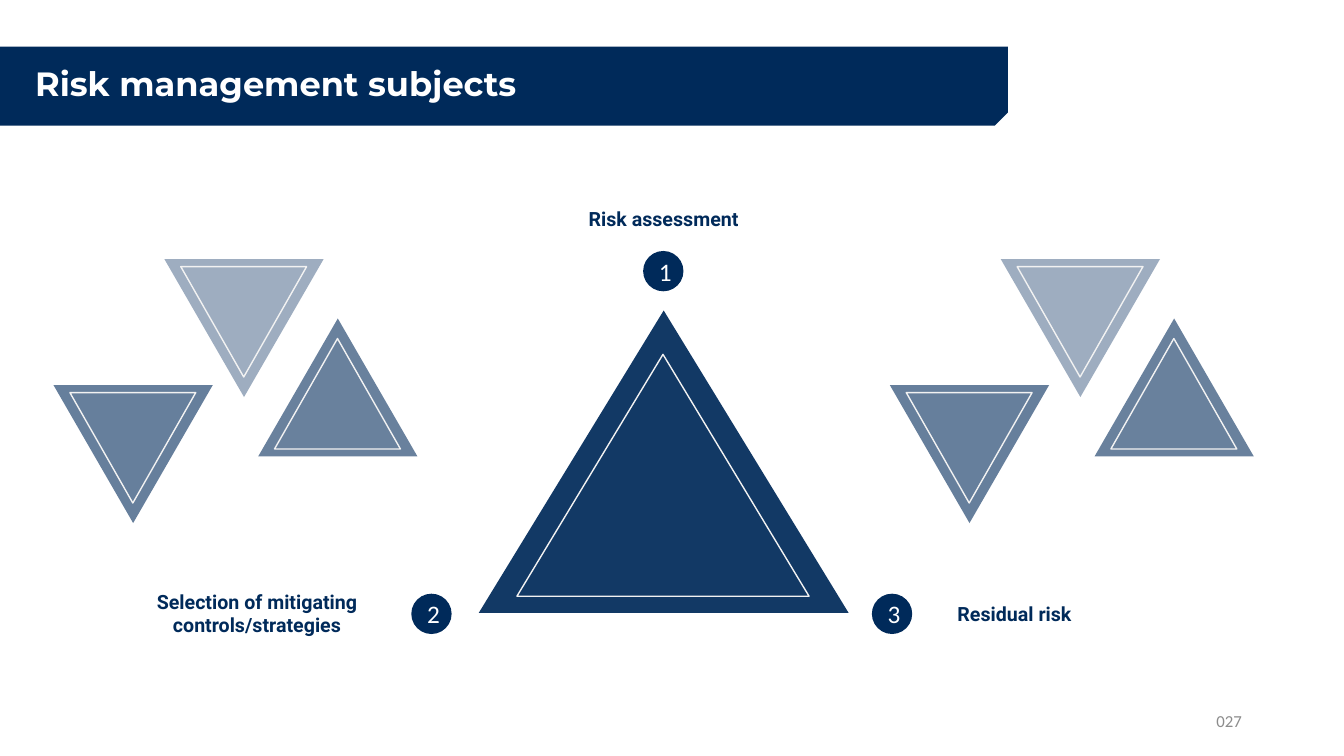
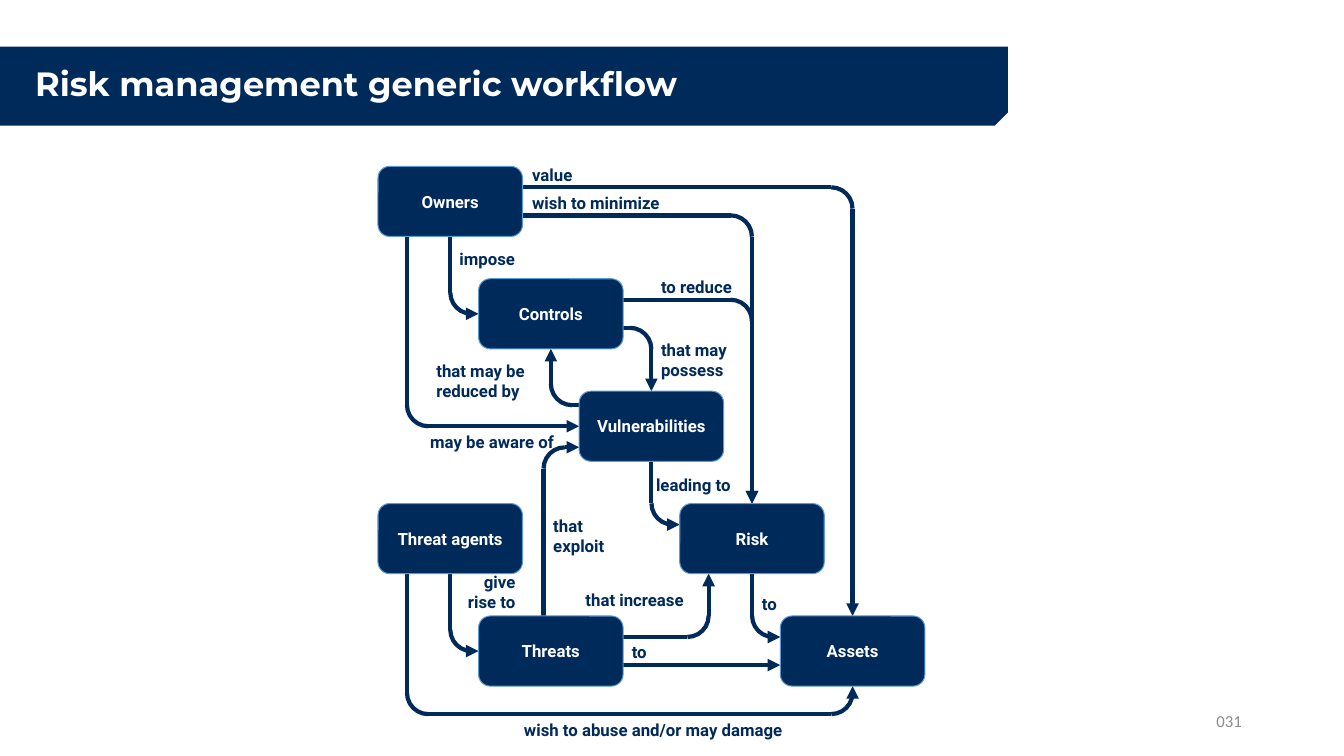
import math

import pptx
import pptx.dml.color
import pptx.enum.shapes
import pptx.enum.text
import pptx.oxml.ns
import pptx.oxml.xmlchemy
import pptx.util
from lxml import etree

Pt = pptx.util.Pt
SHAPE = pptx.enum.shapes.MSO_SHAPE
ALIGN = pptx.enum.text.PP_ALIGN
ANCHOR = pptx.enum.text.MSO_ANCHOR
qn = pptx.oxml.ns.qn

NAVY, WHITE, PALE, BLUE, GREY = "002A5A", "FFFFFF", "F2F2F2", "5B9BD5", "8C8C8C"

TITLE = {"name": "Montserrat", "size": Pt(24), "bold": True, "color": WHITE}
SUBJECT = {"name": "Roboto", "size": Pt(14), "bold": True, "color": NAVY}
BADGE = {"name": "Calibri", "size": Pt(18), "color": WHITE}
NODE = {"name": "Roboto", "size": Pt(12), "bold": True, "color": WHITE}
LABEL = {**NODE, "color": NAVY}
PAGE_NUMBER = {"name": "Calibri", "size": Pt(12), "color": GREY}

BAND_BOX = (0, 33.3, 720, 56.4)
TITLE_BOX = (18, 33.3, 684, 56.4)
PAGE_NUMBER_BOX = (678.2, 500.4, 216, 28.8)

BADGE_SIZE = 28.8
SMALL_TRIANGLE = (113.8, 98.6)
# left, top, pointing down, opacity in percent
CLUSTER = [
    (79.2, 0, True, 38),
    (146.2, 42.5, False, 59),
    (0, 90, True, 60),
]
# number, badge left and top, label, label box
SUBJECTS = [
    ("1", 459.4, 179.3, "Risk assessment", (372.2, 144, 203.8, 24.5)),
    ("2", 293.8, 424.1, "Selection of mitigating controls/strategies",
     (99.4, 417.6, 168.5, 41)),
    ("3", 622.8, 424.1, "Residual risk", (648, 426.2, 153.4, 24.5)),
]

NODE_WIDTH, NODE_HEIGHT = 103.2, 50.1
COLUMN_STEP, ROW_STEP = 71.85, 80.3
BEND_RADIUS, DETOUR_DEPTH = 15.2, 20
# column and row of each node
NODES = {
    "Owners": (0, 0),
    "Controls": (1, 1),
    "Vulnerabilities": (2, 2),
    "Threat agents": (0, 3),
    "Risk": (3, 3),
    "Threats": (1, 4),
    "Assets": (4, 4),
}
# node and fraction of its box at each end, label lines, label left, top, width
ROUTES = [
    ("Owners", (1, 0.3), "Assets", (0.5, 0), ["value"], 103, -5, 44),
    ("Owners", (1, 0.7), "Risk", (0.5, 0), ["wish to minimize"], 103, 15.1, 106.5),
    ("Owners", (0.5, 1), "Controls", (0, 0.5), ["impose"], 51.1, 55.4, 54.7),
    ("Owners", (0.2, 1), "Vulnerabilities", (0, 0.5),
     ["may be aware of"], 30.2, 185.8, 103.7),
    ("Controls", (1, 0.3), "Risk", (0.5, 0), ["to reduce"], 195.1, 75.6, 66.2),
    ("Controls", (1, 0.7), "Vulnerabilities", (0.5, 0),
     ["that may", "possess"], 195.1, 120.2, 64),
    ("Vulnerabilities", (0, 0.2), "Controls", (0.5, 1),
     ["that may be", "reduced by"], 34.6, 135.4, 78.5),
    ("Vulnerabilities", (0.5, 1), "Risk", (0, 0.3), ["leading to"], 191.5, 216.7, 68.4),
    ("Threat agents", (0.5, 1), "Threats", (0, 0.5),
     ["give", "rise to"], 56.2, 285.8, 49),
    ("Threat agents", (0.2, 1), "Assets", (0.5, 1),
     ["wish to abuse and/or may damage"], 97.2, 391.7, 201),
    ("Threats", (0.45, 0), "Vulnerabilities", (0, 0.8),
     ["that", "exploit"], 118.1, 246.2, 51),
    ("Threats", (1, 0.3), "Risk", (0.2, 1), ["that increase"], 141.1, 298.8, 85),
    ("Threats", (1, 0.7), "Assets", (0, 0.7), ["to"], 174.2, 336.2, 26),
    ("Risk", (0.5, 1), "Assets", (0, 0.3), ["to"], 267.1, 301.7, 26),
]


def rgb(code):
    return pptx.dml.color.RGBColor.from_string(code)


def write_text(frame, lines, style, align=ALIGN.LEFT, anchor=ANCHOR.TOP,
               wrap=True, spacing=None):
    frame.word_wrap = wrap
    frame.vertical_anchor = anchor
    for index, line in enumerate(lines):
        para = frame.paragraphs[0] if index == 0 else frame.add_paragraph()
        para.alignment = align
        if spacing:
            para.line_spacing = spacing
        span = para.add_run()
        span.text = line
        for key, value in style.items():
            if key == "color":
                span.font.color.rgb = rgb(value)
            else:
                setattr(span.font, key, value)


def add_text(slide, box, lines, style, **layout):
    holder = slide.shapes.add_textbox(*map(Pt, box))
    write_text(holder.text_frame, lines, style, **layout)


def add_shape(slide, kind, box, fill=None, line=None, weight=1, opacity=100):
    shape = slide.shapes.add_shape(kind, *map(Pt, box))
    shape.shadow.inherit = False
    if fill:
        shape.fill.solid()
        shape.fill.fore_color.rgb = rgb(fill)
        if opacity < 100:
            color = shape._element.spPr.find(".//" + qn("a:srgbClr"))
            etree.SubElement(color, qn("a:alpha")).set("val", str(opacity * 1000))
    else:
        shape.fill.background()
    if line:
        shape.line.color.rgb = rgb(line)
        shape.line.width = Pt(weight)
    else:
        shape.line.fill.background()
    return shape


def add_line(slide, start, end, arrow):
    line = slide.shapes.add_connector(
        pptx.enum.shapes.MSO_CONNECTOR.STRAIGHT, *map(Pt, (*start, *end)))
    line.line.color.rgb = rgb(NAVY)
    line.line.width = Pt(3)
    if arrow:
        outline = line._element.spPr.find(qn("a:ln"))
        etree.SubElement(outline, qn("a:tailEnd")).set("type", "triangle")
    etree.SubElement(line._element.spPr, qn("a:effectLst"))


def add_frame(deck, title, number):
    """Add a slide with its title band and page number."""
    slide = deck.slides.add_slide(deck.slide_layouts[6])
    band = add_shape(slide, SHAPE.SNIP_ROUND_RECTANGLE, BAND_BOX, NAVY)
    band.adjustments[0] = 0
    band.adjustments[1] = 0.167
    band._element.spPr.find(qn("a:xfrm")).set("flipV", "1")
    add_text(slide, TITLE_BOX, [title], TITLE, anchor=ANCHOR.MIDDLE, spacing=0.9)
    add_text(slide, PAGE_NUMBER_BOX, [number], PAGE_NUMBER,
             align=ALIGN.RIGHT, anchor=ANCHOR.MIDDLE)
    return slide


def add_lined_triangle(slide, box, opacity, down=False):
    """Add a filled triangle with a thin outlined one inside it."""
    left, top, width, height = box
    inset = 0.055 if down else 0.145
    inner = (left + 0.103 * width, top + inset * height, 0.79 * width, 0.8 * height)
    for shape in (add_shape(slide, SHAPE.ISOSCELES_TRIANGLE, box, NAVY, opacity=opacity),
                  add_shape(slide, SHAPE.ISOSCELES_TRIANGLE, inner, line=PALE)):
        shape.rotation = 180 if down else 0


def add_cluster(slide, left, top):
    for across, below, down, opacity in CLUSTER:
        box = (left + across, top + below, *SMALL_TRIANGLE)
        add_lined_triangle(slide, box, opacity, down)


def add_subject(slide, number, left, top, label, label_box):
    badge = add_shape(slide, SHAPE.OVAL, (left, top, BADGE_SIZE, BADGE_SIZE), NAVY)
    write_text(badge.text_frame, [number], BADGE, ALIGN.CENTER, ANCHOR.MIDDLE)
    add_text(slide, label_box, [label], SUBJECT, align=ALIGN.CENTER)


def build_subjects(deck):
    slide = add_frame(deck, "Risk management subjects", "027")
    add_lined_triangle(slide, (342, 221.8, 264.2, 216), 93)
    for left in (38.2, 635.6):
        add_cluster(slide, left, 185)
    for subject in SUBJECTS:
        add_subject(slide, *subject)


def node_point(origin, name, fraction):
    """Return the point at a fraction of a node's width and height."""
    column, row = NODES[name]
    return (origin[0] + column * COLUMN_STEP + fraction[0] * NODE_WIDTH,
            origin[1] + row * ROW_STEP + fraction[1] * NODE_HEIGHT)


def find_corners(start, end, leaves_sideways, same_side):
    if math.isclose(start[1], end[1]):
        return []
    if leaves_sideways:
        return [(end[0], start[1])]
    if same_side:
        low = max(start[1], end[1]) + DETOUR_DEPTH
        return [(start[0], low), (end[0], low)]
    return [(start[0], end[1])]


def step_towards(point, target):
    """Return the point one bend radius away in the target's direction."""
    ratio = BEND_RADIUS / math.dist(point, target)
    return tuple(a + (b - a) * ratio for a, b in zip(point, target))


def add_bend(slide, corner, entry, leave):
    """Round a corner with a quarter arc."""
    center = [a + b - c for a, b, c in zip(entry, leave, corner)]
    right, below = corner[0] > center[0], corner[1] > center[1]
    box = (center[0] - BEND_RADIUS, center[1] - BEND_RADIUS,
           2 * BEND_RADIUS, 2 * BEND_RADIUS)
    arc = add_shape(slide, SHAPE.ARC, box, line=NAVY, weight=3)
    arc.rotation = (90 if below else 0) if right else (180 if below else 270)


def add_route(slide, start, corners, end):
    """Draw an arrow through the corners, rounding each of them."""
    pen = start
    for corner, target in zip(corners, [*corners[1:], end]):
        entry, leave = step_towards(corner, pen), step_towards(corner, target)
        add_line(slide, pen, entry, arrow=False)
        add_bend(slide, corner, entry, leave)
        pen = leave
    add_line(slide, pen, end, arrow=True)


def add_diagram(slide, origin):
    for source, leave, target, arrive, lines, across, below, width in ROUTES:
        start = node_point(origin, source, leave)
        end = node_point(origin, target, arrive)
        corners = find_corners(start, end, leave[0] in (0, 1), leave[1] == arrive[1])
        add_route(slide, start, corners, end)
        box = (origin[0] + across, origin[1] + below, width, 7.2 + 14.4 * len(lines))
        align = ALIGN.RIGHT if lines[0] == "give" else ALIGN.LEFT
        add_text(slide, box, lines, LABEL, align=align, wrap=False)
    for name in NODES:
        box = (*node_point(origin, name, (0, 0)), NODE_WIDTH, NODE_HEIGHT)
        node = add_shape(slide, SHAPE.ROUNDED_RECTANGLE, box, NAVY, BLUE, 0.75)
        write_text(node.text_frame, [name], NODE, ALIGN.CENTER, ANCHOR.MIDDLE, wrap=False)


def build_workflow(deck):
    slide = add_frame(deck, "Risk management generic workflow", "031")
    add_diagram(slide, (270, 118.8))


def main():
    deck = pptx.Presentation()
    deck.slide_width, deck.slide_height = Pt(960), Pt(540)
    build_subjects(deck)
    build_workflow(deck)
    deck.save("out.pptx")


if __name__ == "__main__":
    main()
